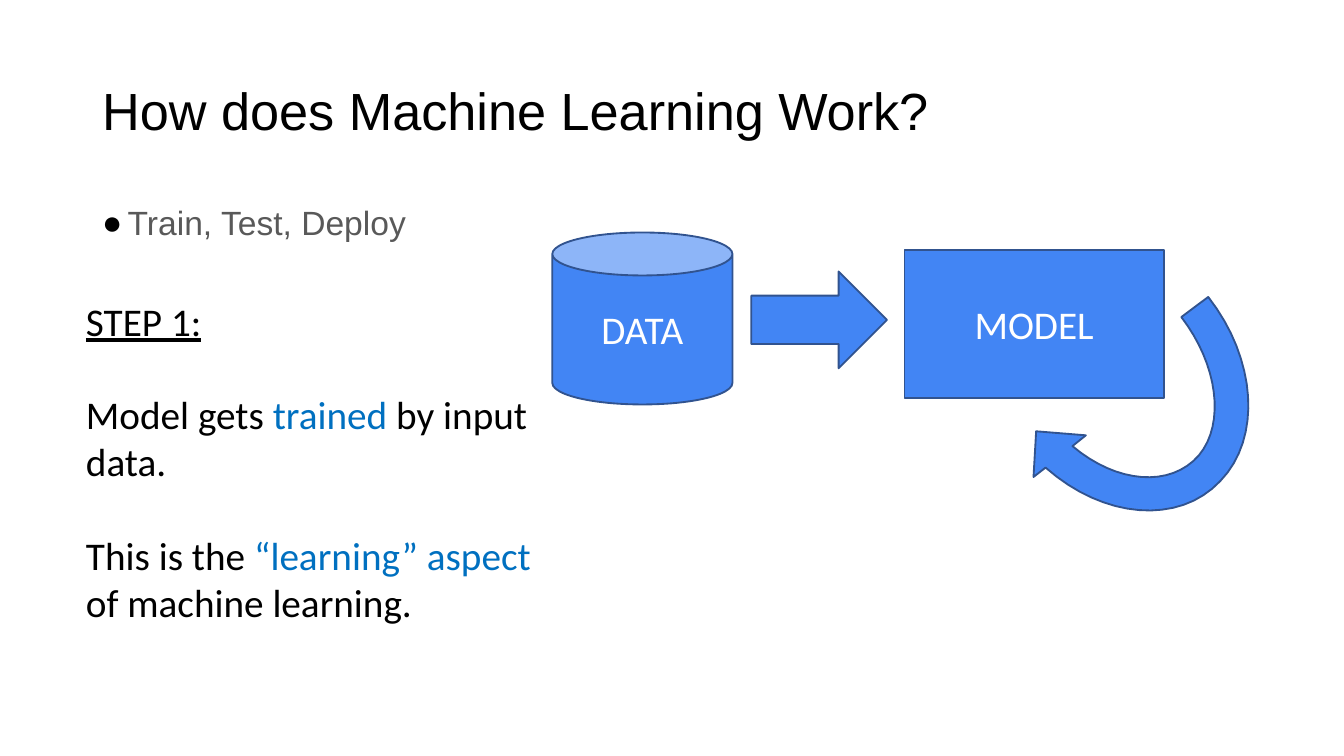
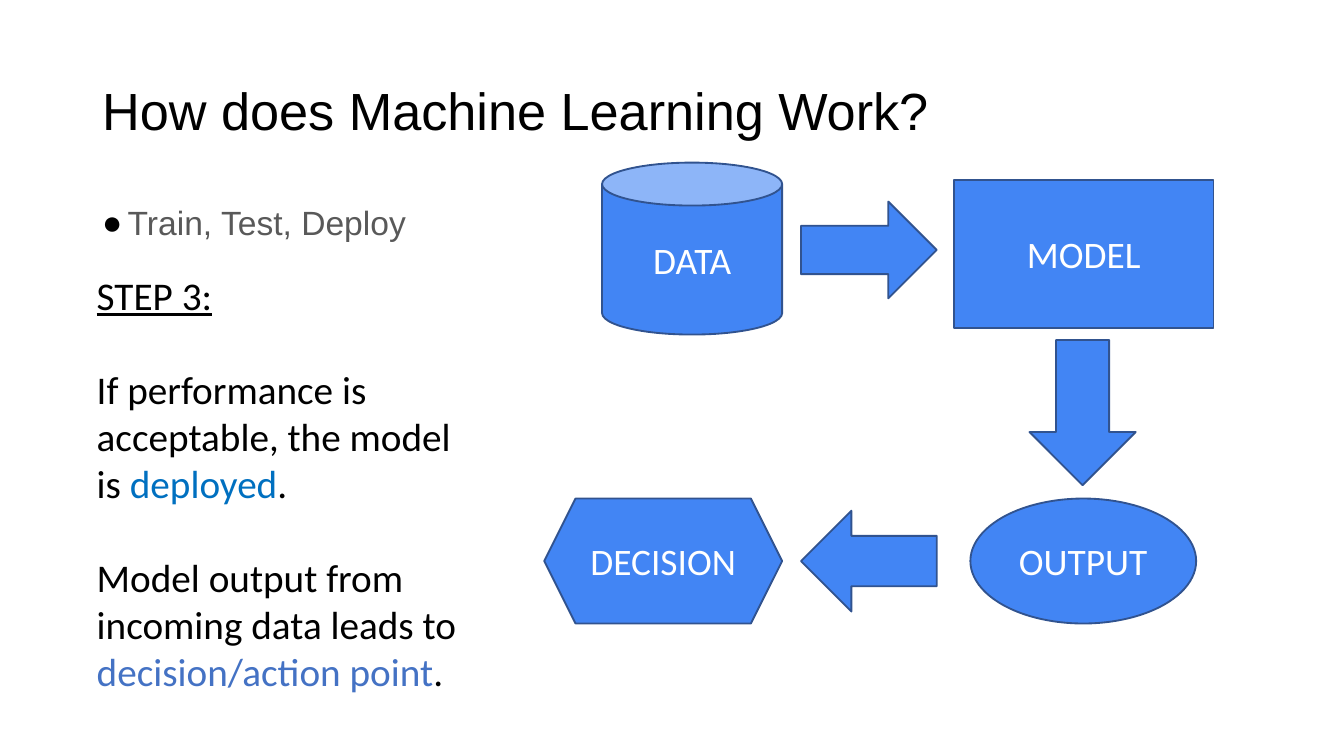
from lxml import etree
from pptx import Presentation
from pptx import util as u
from pptx.dml.color import RGBColor
from pptx.enum import shapes, text
from pptx.oxml.ns import qn

BLACK = RGBColor(0x00, 0x00, 0x00)
WHITE = RGBColor(0xFF, 0xFF, 0xFF)
GREY = RGBColor(0x59, 0x59, 0x59)
BLUE = RGBColor(0x42, 0x85, 0xF4)
OUTLINE = RGBColor(0x31, 0x53, 0x8F)
KEYWORD = RGBColor(0x00, 0x70, 0xC0)
ACTION = RGBColor(0x44, 0x72, 0xC4)

SLIDE_SIZE = (10, 10 * 9 / 16)
TITLE_BOX = (0.69, 0.3, 8.62, 1.09)
BODY_BOX = (0.69, 1.5, 8.62, 3.57)
STEP_SIZE = 21
LINE_GAP = 25  # one empty line of step text, in points
KIND = shapes.MSO_SHAPE

# Loop-back arrow: start point, then line ends (2 numbers) and curves (6 numbers)
LOOP_START = (8.99, 2.21)
LOOP_OUTLINE = [
    (9.35, 2.67, 9.39, 3.26, 9.08, 3.58),
    (8.77, 3.91, 8.21, 3.86, 7.78, 3.48),
    (7.69, 3.55), (7.71, 3.21), (8.08, 3.24), (7.98, 3.32),
    (8.31, 3.6, 8.71, 3.63, 8.92, 3.39),
    (9.12, 3.15, 9.06, 2.71, 8.79, 2.36),
]


def inches(box):
    return [u.Inches(value) for value in box]


def write(holder, paragraphs, size, font="Calibri", color=BLACK, align=None,
          anchor=text.MSO_ANCHOR.TOP, line_spacing=None, gap=0):
    """Each paragraph is a list of (words, format) runs."""
    frame = holder.text_frame
    frame.word_wrap = True
    frame.vertical_anchor = anchor
    frame.margin_left = frame.margin_right = u.Inches(0.07)
    frame.margin_top = frame.margin_bottom = u.Inches(0.04)
    for index, runs in enumerate(paragraphs):
        paragraph = frame.add_paragraph() if index else frame.paragraphs[0]
        paragraph.alignment = align
        paragraph.line_spacing = line_spacing
        if index and gap:
            paragraph.space_before = u.Pt(gap)
        for words, look in runs:
            run = paragraph.add_run()
            run.text = words
            run.font.size = u.Pt(size)
            run.font.name = font
            run.font.color.rgb = look.get("color", color)
            if look.get("underline"):
                run.font.underline = True
    return frame


def paint(shape):
    shape.shadow.inherit = False
    shape.fill.solid()
    shape.fill.fore_color.rgb = BLUE
    shape.line.color.rgb = OUTLINE
    shape.line.width = u.Pt(1)


def add_node(slide, kind, box, label="", size=20):
    node = slide.shapes.add_shape(kind, *inches(box))
    paint(node)
    if label:
        write(node, [[(label, {})]], size, color=WHITE,
              align=text.PP_ALIGN.CENTER, anchor=text.MSO_ANCHOR.MIDDLE)


def add_heading(slide):
    title = slide.shapes.add_textbox(*inches(TITLE_BOX))
    write(title, [[("How does Machine Learning Work?", {})]], 28, font="Arial",
          anchor=text.MSO_ANCHOR.MIDDLE, line_spacing=0.9)

    # Bulleted list of stages
    stages = slide.shapes.add_textbox(*inches(BODY_BOX))
    frame = write(stages, [[("Train, Test, Deploy", {})]], 18, font="Arial",
                  color=GREY, line_spacing=0.9)
    frame.paragraphs[0].space_after = u.Pt(12)
    props = frame.paragraphs[0]._p.get_or_add_pPr()
    props.set("marL", str(u.Inches(0.19)))
    props.set("indent", str(-u.Inches(0.19)))
    bullet_color = etree.SubElement(props, qn("a:buClr"))
    etree.SubElement(bullet_color, qn("a:srgbClr")).set("val", str(BLACK))
    etree.SubElement(props, qn("a:buFont")).set("typeface", "Arial")
    etree.SubElement(props, qn("a:buChar")).set("char", "●")


def add_step(slide, box, heading, *sentences):
    step = slide.shapes.add_textbox(*inches(box))
    write(step, [[(heading, {"underline": True})], *sentences], STEP_SIZE,
          gap=LINE_GAP)


def add_data_to_model(slide, left, top, size):
    add_node(slide, KIND.CAN, (left, top, 1.34, 1.28), "DATA", size)
    add_node(slide, KIND.RECTANGLE, (left + 2.62, top + 0.13, 1.93, 1.1),
             "MODEL", size)
    add_node(slide, KIND.RIGHT_ARROW, (left + 1.48, top + 0.29, 1.01, 0.72))


def add_output_to_decision(slide, left, top):
    add_node(slide, KIND.LEFT_ARROW, (left + 1.91, top + 0.09, 1.01, 0.75))
    add_node(slide, KIND.HEXAGON, (left, top, 1.77, 0.93), "DECISION")
    add_node(slide, KIND.DOWN_ARROW, (left + 3.61, top - 1.18, 0.79, 1.08))
    add_node(slide, KIND.OVAL, (left + 3.17, top, 1.68, 0.93), "OUTPUT")


def curve_points(start, curve, steps=16):
    """Points along a cubic curve, without its start."""
    controls = [start, curve[:2], curve[2:4], curve[4:]]
    for step in range(1, steps + 1):
        t = step / steps
        weights = ((1 - t) ** 3, 3 * t * (1 - t) ** 2, 3 * t * t * (1 - t), t ** 3)
        yield tuple(sum(w * point[axis] for w, point in zip(weights, controls))
                    for axis in (0, 1))


def add_loop_arrow(slide):
    points = [LOOP_START]
    for part in LOOP_OUTLINE:
        points.extend([part] if len(part) == 2 else curve_points(points[-1], part))
    # The builder rounds to whole units, so it is given EMU
    corners = [inches(point) for point in points]
    builder = slide.shapes.build_freeform(*corners[0])
    builder.add_line_segments(corners[1:], close=True)
    paint(builder.convert_to_shape())


def build_training(slide):
    add_heading(slide)
    add_data_to_model(slide, 4.11, 1.73, size=21)
    add_loop_arrow(slide)
    add_step(slide, (0.57, 2.17, 3.47, 2.55), "STEP 1:",
             [("Model gets ", {}), ("trained ", {"color": KEYWORD}),
              ("by input data.", {})],
             [("This is the ", {}), ("“learning” aspect", {"color": KEYWORD}),
              (" of machine learning.", {})])


def build_deployment(slide):
    add_heading(slide)
    add_step(slide, (0.65, 1.98, 2.96, 3.26), "STEP 3:",
             [("If performance is acceptable, the model is ", {}),
              ("deployed", {"color": KEYWORD}), (".", {})],
             [("Model output from incoming data leads to ", {}),
              ("decision/action point", {"color": ACTION}), (".", {})])
    add_data_to_model(slide, 4.48, 1.21, size=20)
    add_output_to_decision(slide, 4.05, 3.71)


def main():
    deck = Presentation()
    deck.slide_width, deck.slide_height = inches(SLIDE_SIZE)
    for build in (build_training, build_deployment):
        build(deck.slides.add_slide(deck.slide_layouts[6]))
    deck.save("out.pptx")


if __name__ == "__main__":
    main()
